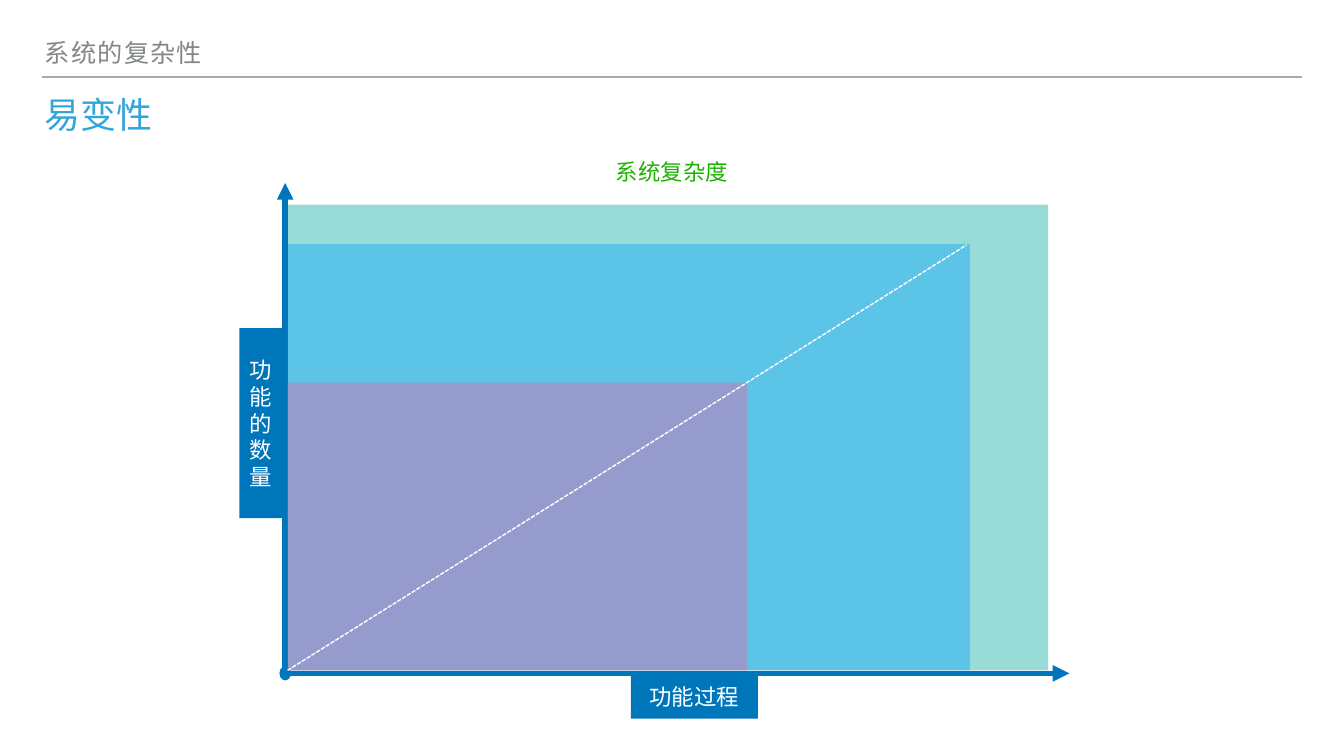
from dataclasses import dataclass

from lxml.etree import SubElement as Sub
from pptx import Presentation as Deck
from pptx.dml.color import RGBColor as Rgb
from pptx.enum.dml import MSO_LINE as Dash
from pptx.enum.shapes import MSO_CONNECTOR as Link, MSO_SHAPE as Form
from pptx.enum.text import MSO_ANCHOR as Anchor, MSO_AUTO_SIZE as Fit, PP_ALIGN as Align
from pptx.oxml.ns import qn
from pptx.util import Inches, Pt


@dataclass(frozen=True)
class Theme:
    rule: str = "A6AAA9"
    gray: str = "838787"
    sky: str = "34A5DA"
    navy: str = "0076BA"
    teal: str = "00A89D"
    blue: str = "00A2FF"
    pink: str = "EF5FA8"
    green: str = "1DB100"
    white: str = "FFFFFF"
    head: float = 36
    title: float = 51.3
    label: float = 32
    thin: float = 2
    thick: float = 8
    alpha: int = 40
    inset: float = 0.06


class Page:
    """Draws styled elements on one slide, with lengths in percent of its size."""

    def __init__(self, theme, wide, high):
        self.theme = theme
        self.deck = Deck()
        self.deck.slide_width = Inches(wide)
        self.deck.slide_height = Inches(high)
        self.slide = self.deck.slides.add_slide(self.deck.slide_layouts[1])
        self.shapes = self.slide.shapes

    def place(self, *vals):
        sides = (self.deck.slide_width, self.deck.slide_height)
        return [round(val * sides[i % 2] / 100) for i, val in enumerate(vals)]

    def letter(self, shape, text, size, color, face="Arial",
               anchor=Anchor.MIDDLE, align=Align.CENTER):
        frame = shape.text_frame
        frame.auto_size = Fit.NONE
        frame.word_wrap = True
        frame.vertical_anchor = anchor
        frame.margin_left = frame.margin_right = Inches(self.theme.inset)
        frame.margin_top = frame.margin_bottom = Inches(self.theme.inset)
        frame.text = text
        para = frame.paragraphs[0]
        para.alignment = align
        font = para.font
        font.name, font.size = face, Pt(size)
        font.color.rgb = Rgb.from_string(color)
        return para

    def holder(self, shape, box, text, size, color, face, anchor):
        shape.left, shape.top, shape.width, shape.height = self.place(*box)
        para = self.letter(shape, text, size, color, face, anchor, Align.LEFT)
        para.line_spacing = 0.8
        para.space_before = Pt(0)
        return para

    def title(self, box, text):
        look = self.theme
        self.holder(self.shapes.title, box, text, look.title, look.sky,
                    "Arial Narrow", Anchor.TOP)

    def head(self, box, text):
        look = self.theme
        para = self.holder(self.slide.placeholders[1], box, text, look.head,
                           look.gray, "Lato", Anchor.BOTTOM)
        props = para._p.get_or_add_pPr()
        props.set("marL", "0")
        props.set("indent", "0")
        none = Sub(props, qn("a:buNone"))
        props.find(qn("a:defRPr")).addprevious(none)
        para.runs[0].font._element.set("spc", "180")

    def line(self, start, end, color, width, dash=None, arrow=False):
        link = self.shapes.add_connector(Link.STRAIGHT, *self.place(*start, *end))
        link.line.color.rgb = Rgb.from_string(color)
        link.line.width = Pt(width)
        if dash:
            link.line.dash_style = dash
        if arrow:
            Sub(link.line._get_or_add_ln(), qn("a:tailEnd"), type="triangle")
        Sub(link._element.spPr, qn("a:effectLst"))

    def block(self, box, color, alpha=None, form=Form.RECTANGLE):
        shape = self.shapes.add_shape(form, *self.place(*box))
        shape.shadow.inherit = False
        shape.fill.solid()
        shape.fill.fore_color.rgb = Rgb.from_string(color)
        shape.line.fill.background()
        if alpha:
            tint = shape._element.spPr.find(qn("a:solidFill"))[0]
            Sub(tint, qn("a:alpha"), val=str(alpha * 1000))
        return shape

    def area(self, left, base, size, color):
        wide, high = size
        self.block((left, base - high, wide, high), color, self.theme.alpha)

    def label(self, box, text):
        look = self.theme
        self.letter(self.block(box, look.navy), text, look.label, look.white)

    def note(self, box, text):
        look = self.theme
        shape = self.shapes.add_textbox(*self.place(*box))
        self.letter(shape, text, look.label, look.green)


def main():
    look = Theme()
    page = Page(look, 26.67, 15)
    left, base = 21.4, 88.67
    axis, floor = 21.22, 89.07

    page.line((3.11, 10.2), (96.86, 10.2), look.rule, look.thin)
    page.head((3.11, 3.87, 85.94, 5.4), "系统的复杂性")
    page.title((3.11, 13, 93.74, 7.4), "易变性")

    page.area(left, base, (56.58, 61.6), look.teal)
    page.line((axis, 88.27), (axis, 24.2), look.navy, look.thick, arrow=True)
    page.line((21.6, floor), (79.57, floor), look.navy, look.thick, arrow=True)
    page.block((20.79, 88.13, 0.86, 1.87), look.navy, form=Form.OVAL)
    page.label((17.81, 43.4, 3.22, 25.13), "功能的数量")
    page.label((46.94, 89.33, 9.45, 5.73), "功能过程")
    page.area(left, base, (50.77, 56.4), look.blue)
    page.area(left, base, (34.2, 38.07), look.pink)
    page.line((left, base), (71.92, 32.4), look.white, look.thin, Dash.SQUARE_DOT)
    page.note((43.34, 20.2, 13.31, 4.93), "系统复杂度")
    page.deck.save("out.pptx")


if __name__ == "__main__":
    main()
